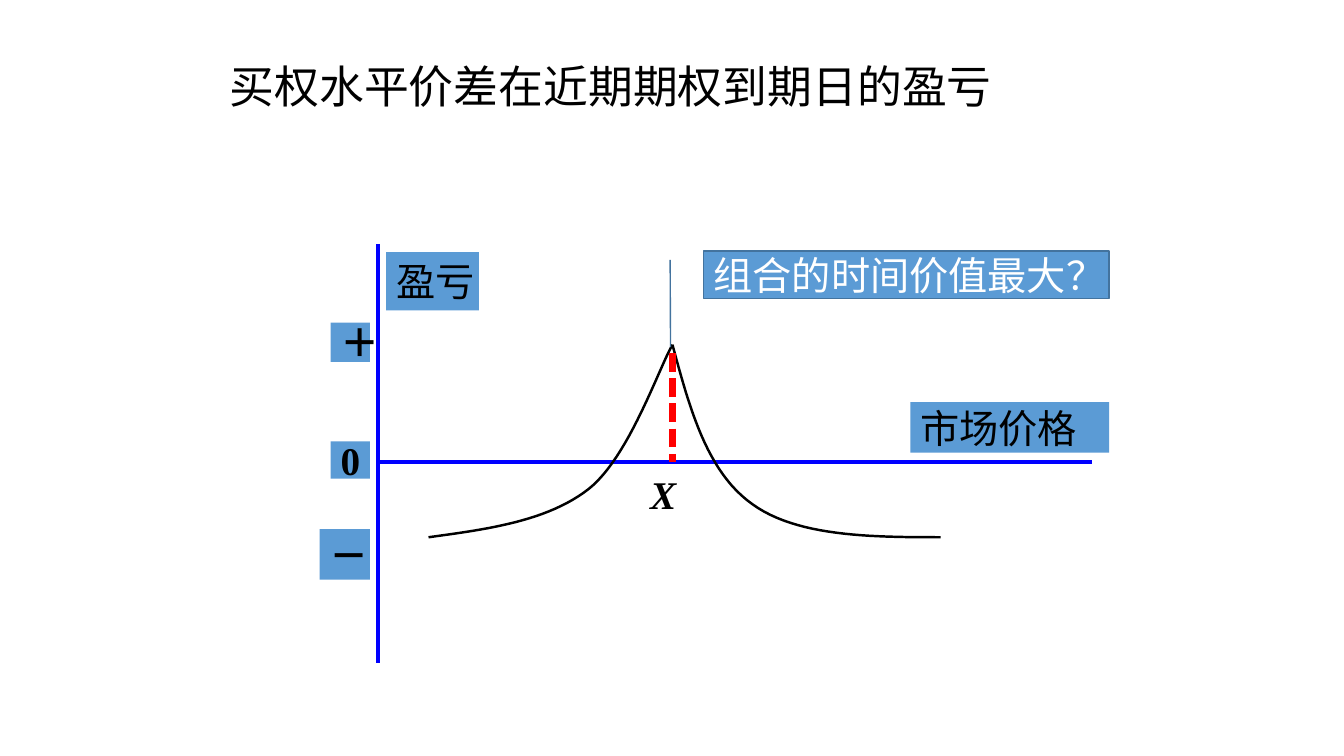
from dataclasses import dataclass

from lxml import etree
from pptx import Presentation
from pptx.dml.color import RGBColor
from pptx.enum.dml import MSO_LINE
from pptx.enum.shapes import MSO_CONNECTOR, MSO_SHAPE
from pptx.enum.text import MSO_ANCHOR, PP_ALIGN
from pptx.oxml.ns import qn
from pptx.util import Inches, Pt

STRAIGHT = MSO_CONNECTOR.STRAIGHT
RECTANGLE = MSO_SHAPE.RECTANGLE
CALLOUT = MSO_SHAPE.LINE_CALLOUT_1
DOTTED = MSO_LINE.SQUARE_DOT
MIDDLE, TOP = MSO_ANCHOR.MIDDLE, MSO_ANCHOR.TOP
LEFT = PP_ALIGN.LEFT


@dataclass(frozen=True)
class Theme:
    black: str = "000000"
    white: str = "FFFFFF"
    axis: str = "0000FF"
    marker: str = "FF0000"
    label: str = "5B9BD5"
    border: str = "43739E"
    title_size: int = 32
    label_size: int = 28
    chinese: str = "Noto Sans CJK SC"
    serif: str = "Times New Roman"
    sans: str = "Arial"


THEME = Theme()


def write(shape, text, font_name, size=THEME.label_size, color=THEME.black,
          bold=False, italic=False, wrap=True, anchor=MIDDLE):
    frame = shape.text_frame
    frame.word_wrap = wrap
    frame.vertical_anchor = anchor
    para = frame.paragraphs[0]
    para.text = text
    para.alignment = LEFT
    font = para.font
    font.size, font.bold, font.italic = Pt(size), bold, italic
    font.color.rgb = RGBColor.from_string(color)
    font.name = font_name
    east_asian = etree.SubElement(para._p.pPr.find(qn("a:defRPr")), qn("a:ea"))
    east_asian.set("typeface", THEME.chinese)
    return para


def add_box(page, kind, box):
    shape = page.shapes.add_shape(kind, *map(Inches, box))
    shape.shadow.inherit = False
    shape.fill.solid()
    shape.fill.fore_color.rgb = RGBColor.from_string(THEME.label)
    return shape


def add_label(page, box, text, font_name, bold=False):
    shape = add_box(page, RECTANGLE, box)
    shape.line.fill.background()
    write(shape, text, font_name, bold=bold, wrap=False)


def add_line(page, start, end, color, width, dash=None):
    line = page.shapes.add_connector(STRAIGHT, *map(Inches, start + end))
    line.line.color.rgb = RGBColor.from_string(color)
    line.line.width = Pt(width)
    if dash:
        line.line.dash_style = dash
    etree.SubElement(line._element.spPr, qn("a:effectLst"))


def bezier_point(controls, t):
    weights = ((1 - t) ** 3, 3 * t * (1 - t) ** 2, 3 * t ** 2 * (1 - t), t ** 3)
    return tuple(sum(weight * point[axis] for weight, point in zip(weights, controls))
                 for axis in (0, 1))


def add_curve(page, origin, controls, steps=24):
    left, top = origin
    points = [bezier_point(controls[first:first + 4], step / steps)
              for first in range(0, len(controls) - 1, 3)
              for step in range(steps + 1)]
    points = [(Inches(left + x), Inches(top + y)) for x, y in points]
    builder = page.shapes.build_freeform(*points[0])
    builder.add_line_segments(points[1:], close=False)
    curve = builder.convert_to_shape()
    curve.shadow.inherit = False
    curve.fill.background()
    curve.line.color.rgb = RGBColor.from_string(THEME.black)
    curve.line.width = Pt(1.75)


def add_title(page, box):
    title = page.shapes.add_textbox(*map(Inches, box))
    para = write(title, "买权水平价差在近期期权到期日的盈亏", THEME.chinese, THEME.title_size)
    para.line_spacing = 0.9


def add_payoff_diagram(page, box):
    left, top, width, height = box
    zero = top + 2.16
    strike = left + 2.92
    peak = top + 1

    add_line(page, (left, top), (left, top + height), THEME.axis, 3)
    add_line(page, (left, zero), (left + width, zero), THEME.axis, 3)

    rising = [(-2.42, 1.91), (-1.83, 1.83), (-1.24, 1.75), (-0.83, 1.43),
              (-0.43, 1.11), (-0.14, 0.24), (0, 0)]
    falling = [(2.66, 1.91), (1.95, 1.91), (1.23, 1.9), (0.79, 1.58),
               (0.34, 1.26), (0.17, 0.63), (0, 0)]
    for controls in (rising, falling):
        add_curve(page, (strike, peak), controls)
    add_line(page, (strike, peak + 0.08), (strike, zero), THEME.marker, 4.5, DOTTED)

    labels = [
        (-0.47, 1.96, 0.39, 0.37, "0", THEME.serif, True),
        (0.08, 0.08, 0.92, 0.58, "盈亏", THEME.sans, False),
        (-0.58, 2.83, 0.5, 0.5, "－", THEME.serif, True),
        (-0.47, 0.78, 0.39, 0.39, "＋", THEME.chinese, True),
        (5.28, 1.57, 1.97, 0.5, "市场价格", THEME.chinese, False),
    ]
    for x, y, label_width, label_height, text, font_name, bold in labels:
        add_label(page, (left + x, top + y, label_width, label_height),
                  text, font_name, bold)

    strike_label = page.shapes.add_textbox(
        *map(Inches, (strike - 0.32, zero + 0.04, 0.63, 0.57)))
    write(strike_label, "X", THEME.serif, bold=True, italic=True, anchor=TOP)
    add_peak_callout(page, (strike + 0.31, top + 0.07, 4.02, 0.47))


def add_peak_callout(page, box):
    callout = add_box(page, CALLOUT, box)
    for index, value in enumerate((0.188, -0.083, 2.029, -0.082)):
        callout.adjustments[index] = value
    callout.line.color.rgb = RGBColor.from_string(THEME.border)
    callout.line.width = Pt(1)
    write(callout, "组合的时间价值最大？", THEME.chinese, color=THEME.white)


def main():
    deck = Presentation()
    deck.slide_width, deck.slide_height = Inches(13.33), Inches(7.5)
    page = deck.slides.add_slide(deck.slide_layouts[6])
    add_title(page, (2.18, 0.52, 8.17, 0.72))
    add_payoff_diagram(page, (3.75, 2.42, 7.08, 4.16))
    deck.save("out.pptx")


if __name__ == "__main__":
    main()
